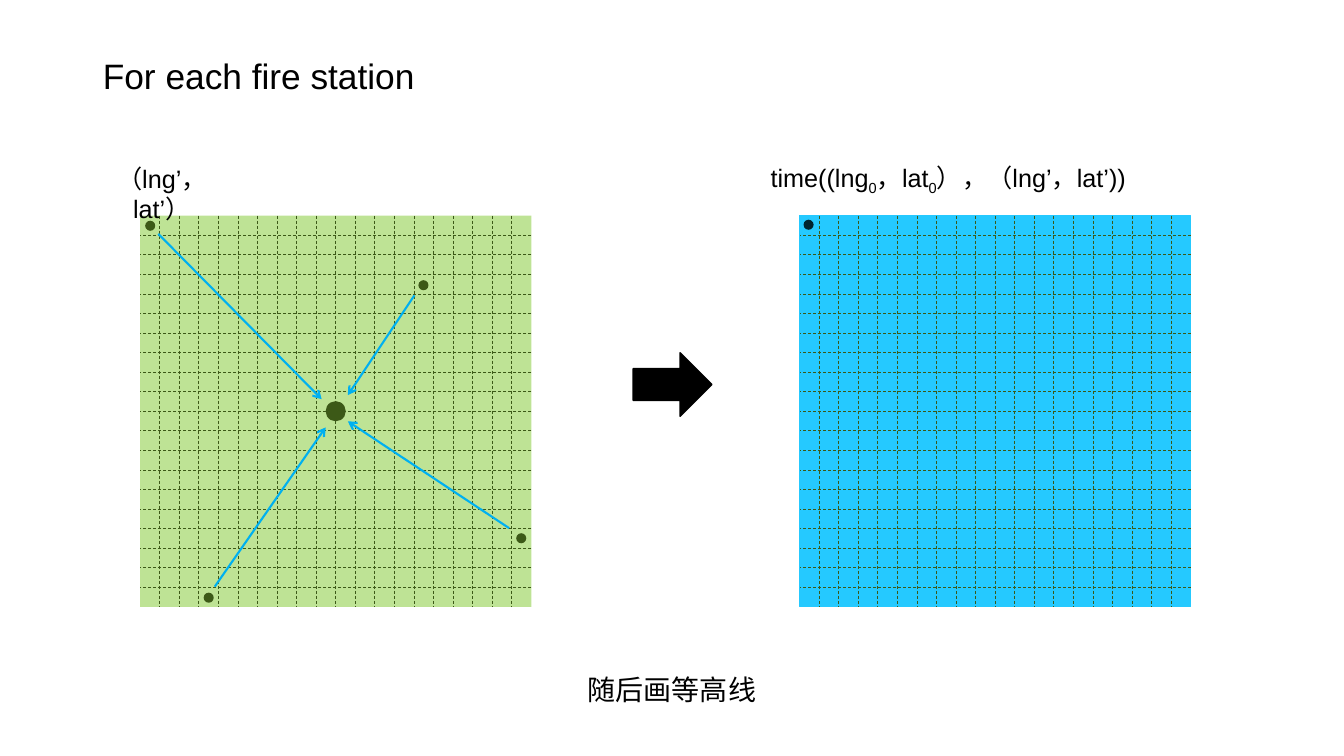
from lxml.etree import SubElement
from pptx import Presentation
from pptx.dml.color import RGBColor
from pptx.enum.dml import MSO_LINE
from pptx.enum.shapes import MSO_CONNECTOR, MSO_SHAPE
from pptx.enum.text import MSO_ANCHOR, PP_ALIGN
from pptx.oxml.ns import qn
from pptx.util import Inches, Pt

BLACK, GREEN, DARK = "000000", "BEE395", "3C5917"
BLUE, NAVY, SKY = "25C9FF", "002430", "00B0F0"

TITLE = "For each fire station"
# Text runs are (text, is subscript)
LABELS = [
    ([("time((lng", False), ("0", True), ("，lat", False), ("0", True),
      ("），（lng’，lat’))", False)], (7.2, 1.56, 4.41, 0.4), 18),
    ([("（lng’，lat’）", False)], (0.85, 1.57, 1.51, 0.4), 18),
    ([("随后画等高线", False)], (4.46, 6.62, 4.41, 0.44), 20),
]
SIDE, CELLS = 3.88, 20
LEFT, RIGHT, TOP = 1.39, 7.93, 2.14
DOT, HUB = 0.1, 0.2
# Each point: dot corner, arrow start, arrow end
POINTS = [
    ((1.44, 2.19), (1.57, 2.32), (3.19, 3.96)),
    ((4.15, 2.78), (4.11, 2.93), (3.45, 3.92)),
    ((5.12, 5.29), (5.05, 5.24), (3.45, 4.18)),
    ((2.02, 5.88), (2.13, 5.82), (3.23, 4.24)),
]


def color(code):
    return RGBColor.from_string(code)


def write(frame, runs, size=18, align=PP_ALIGN.CENTER, anchor=MSO_ANCHOR.TOP, space=1.0):
    frame.word_wrap = True
    frame.vertical_anchor = anchor
    para = frame.paragraphs[0]
    para.alignment, para.line_spacing = align, space
    for text, sub in runs:
        run = para.add_run()
        run.text = text
        run.font.name, run.font.size = "Arial", Pt(size)
        run.font.color.rgb = color(BLACK)
        if sub:
            run.font._element.set("baseline", "-25000")


def draw(kind, box, fill, edge=None):
    shape = slide.shapes.add_shape(kind, *map(Inches, box))
    shape.shadow.inherit = False
    shape.fill.solid()
    shape.fill.fore_color.rgb = color(fill)
    if edge:
        shape.line.color.rgb = color(edge)
        shape.line.width = Pt(1)
    else:
        shape.line.fill.background()


def dot(spot, size=DOT, fill=DARK):
    draw(MSO_SHAPE.OVAL, (*spot, size, size), fill)


def link(shapes, start, end, tint, width):
    line = shapes.add_connector(MSO_CONNECTOR.STRAIGHT, *map(Inches, (*start, *end)))
    line.line.color.rgb = color(tint)
    line.line.width = Pt(width)
    SubElement(line._element.spPr, qn("a:effectLst"))
    return line


def grid(left, fill, edge=None):
    """Draw a square with its dashed inner lines in one group."""
    draw(MSO_SHAPE.RECTANGLE, (left, TOP, SIDE, SIDE), fill, edge)
    group = slide.shapes.add_group_shape().shapes
    for i in range(1, CELLS):
        gap = SIDE / CELLS * i
        for start, end in (
            ((left + gap, TOP), (left + gap, TOP + SIDE)),
            ((left + SIDE, TOP + gap), (left, TOP + gap)),
        ):
            link(group, start, end, DARK, 0.5).line.dash_style = MSO_LINE.DASH


deck = Presentation()
deck.slide_width, deck.slide_height = Inches(13.33), Inches(7.5)
slide = deck.slides.add_slide(deck.slide_layouts[5])

title = slide.shapes.title
title.left, title.top, title.width, title.height = map(Inches, (0.92, 0.4, 11.5, 0.62))
write(title.text_frame, [(TITLE, False)], size=25.2, align=PP_ALIGN.LEFT,
      anchor=MSO_ANCHOR.MIDDLE, space=1.2)

draw(MSO_SHAPE.RIGHT_ARROW, (6.28, 3.5, 0.78, 0.63), BLACK, BLACK)

grid(RIGHT, BLUE, BLUE)
dot((7.97, 2.18), fill=NAVY)

grid(LEFT, GREEN)
dot((3.23, 3.98), HUB)
for spot, start, end in POINTS:
    dot(spot)
    arrow = link(slide.shapes, start, end, SKY, 1.5)
    SubElement(arrow.line._get_or_add_ln(), qn("a:tailEnd"), type="arrow")

for runs, box, size in LABELS:
    label = slide.shapes.add_textbox(*map(Inches, box))
    write(label.text_frame, runs, size=size)

deck.save("out.pptx")
